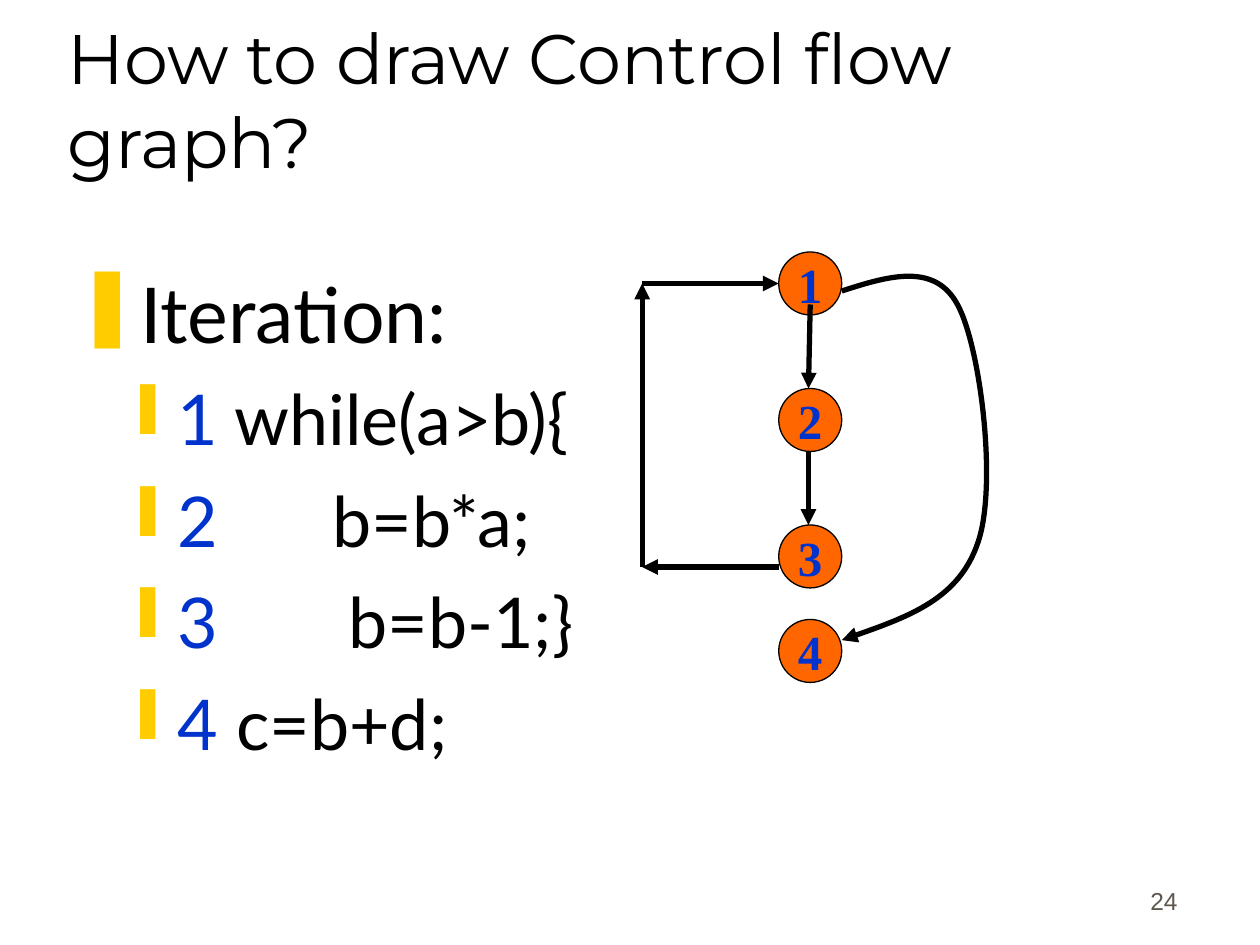
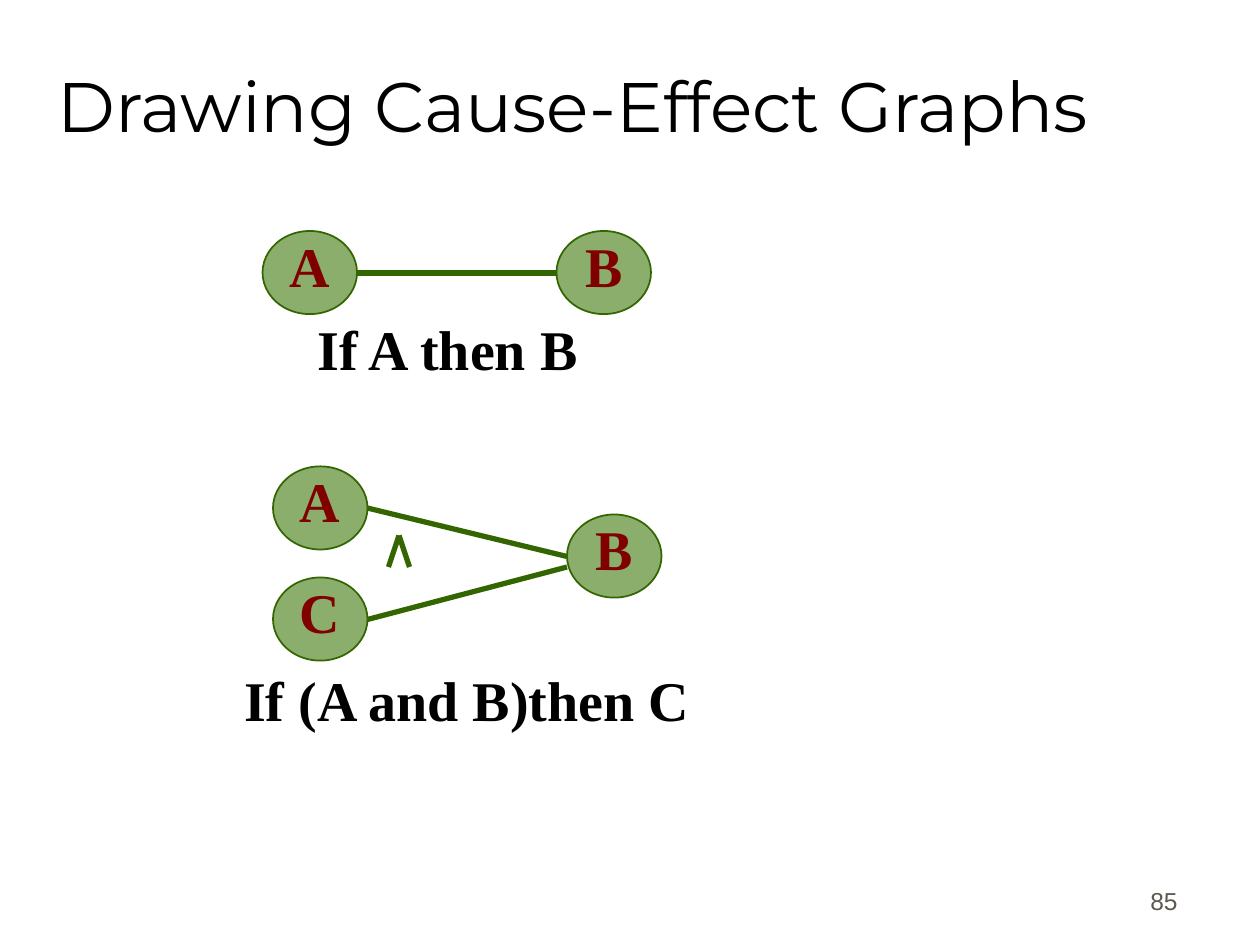
from dataclasses import dataclass

from lxml import etree
from pptx import Presentation
from pptx.dml.color import RGBColor
from pptx.enum.shapes import MSO_CONNECTOR, MSO_SHAPE
from pptx.enum.text import MSO_ANCHOR, PP_ALIGN
from pptx.oxml.ns import qn
from pptx.util import Pt

STRAIGHT, OVAL = MSO_CONNECTOR.STRAIGHT, MSO_SHAPE.OVAL
TOP, MIDDLE, BOTTOM = MSO_ANCHOR.TOP, MSO_ANCHOR.MIDDLE, MSO_ANCHOR.BOTTOM
LEFT, CENTER, RIGHT = PP_ALIGN.LEFT, PP_ALIGN.CENTER, PP_ALIGN.RIGHT


@dataclass(frozen=True)
class Theme:
    ink: str = "000000"
    page_number: str = "5E574E"
    bullet: str = "FFCC00"
    step: str = "0033CC"
    flow_fill: str = "FF6600"
    cause_fill: str = "8BAE6C"
    cause_line: str = "336600"
    cause_text: str = "800000"
    title_font: str = "Montserrat"
    body_font: str = "Lato"
    label_font: str = "Times New Roman"
    page_font: str = "Arial"
    title_size: float = 40
    heading_size: float = 44
    code_size: float = 40
    flow_size: float = 28
    cause_size: float = 32
    page_size: float = 14
    edge_width: float = 3


THEME = Theme()
WIDE_INSETS = (7.2, 3.6)
SLIM_INSETS = (1.44, 3.6)

# Flow graph: step number, statement, extra width of the gap between them
HEADING = "Iteration:"
CODE = [
    ("1", "while(a>b){", 0),
    ("2", "b=b*a;", 55),
    ("3", "b=b-1;}", 64.2),
    ("4", "c=b+d;", 0),
]
FLOW_SIZE = 36
FLOW_LEFT = 445
FLOW_TOPS = {"1": 144, "2": 222, "3": 300, "4": 354}
LOOP_LEFT, LOOP_TOP, LOOP_BOTTOM = 367, 162, 324
FLOW_EDGES = [
    ((463, 174), (462, 222)),
    ((462, 258), (462, 300)),
    ((FLOW_LEFT, LOOP_BOTTOM), (LOOP_LEFT, LOOP_BOTTOM)),
    ((LOOP_LEFT, LOOP_BOTTOM), (LOOP_LEFT, LOOP_TOP)),
    ((LOOP_LEFT, LOOP_TOP), (FLOW_LEFT, LOOP_TOP)),
]
EXIT_CURVE = [
    (481, 166.3),
    (507.6, 157.7), (534.2, 149.8), (547.2, 174.2),
    (560.2, 198), (570.2, 278), (558.7, 310.3),
    (548, 342), (514.8, 354.2), (481, 365.8),
]

# Cause-effect graphs
CAUSE_SIZE = (54, 47.5)
CAUSE_NODES = [
    ("A", 150, 132), ("B", 318, 132),
    ("A", 156, 266.5), ("B", 324, 294), ("C", 156, 330),
]
AND_TIP = (228, 306)
CAUSE_EDGES = [
    ((204, 156), (318, 156)),
    ((210, 290.3), (324, 318)),
    ((210, 354), (324, 324)),
    ((222, 324), AND_TIP),
    ((234, 324), AND_TIP),
]
CAPTIONS = [
    ("If A then B", (180, 186, 240, 45)),
    ("If (A and B)then C", (138, 386.5, 312, 45)),
]


def rgb(value):
    return RGBColor.from_string(value)


def add_run(paragraph, text, *, font, size, color, bold=False, spacing=0):
    run = paragraph.add_run()
    run.text = text
    run.font.name, run.font.size, run.font.bold = font, Pt(size), bold
    run.font.color.rgb = rgb(color)
    if spacing:
        run.font._element.set("spc", str(round(spacing * 100)))


def setup_frame(shape, anchor=TOP, insets=WIDE_INSETS, wrap=True):
    frame = shape.text_frame
    frame.word_wrap, frame.vertical_anchor = wrap, anchor
    frame.margin_left = frame.margin_right = Pt(insets[0])
    frame.margin_top = frame.margin_bottom = Pt(insets[1])
    return frame


def write(shape, text, *, align=LEFT, before=0, line_spacing=None,
          anchor=TOP, insets=WIDE_INSETS, wrap=True, **run_format):
    paragraph = setup_frame(shape, anchor, insets, wrap).paragraphs[0]
    paragraph.alignment, paragraph.space_before = align, Pt(before)
    if line_spacing:
        paragraph.line_spacing = line_spacing
    add_run(paragraph, text, **run_format)


def add_box(slide, box):
    return slide.shapes.add_textbox(*map(Pt, box))


def add_node(slide, box, fill, line, line_width):
    node = slide.shapes.add_shape(OVAL, *map(Pt, box))
    node.shadow.inherit = False
    node.fill.solid()
    node.fill.fore_color.rgb = rgb(fill)
    node.line.color.rgb, node.line.width = rgb(line), Pt(line_width)
    return node


def style_edge(edge, color, arrow):
    edge.line.color.rgb, edge.line.width = rgb(color), Pt(THEME.edge_width)
    if arrow:
        outline = edge._element.spPr.find(qn("a:ln"))
        etree.SubElement(outline, qn("a:tailEnd"), type="triangle")


def add_edge(slide, start, end, color, arrow=False):
    edge = slide.shapes.add_connector(STRAIGHT, *map(Pt, start + end))
    style_edge(edge, color, arrow)
    etree.SubElement(edge._element.spPr, qn("a:effectLst"))


def add_curve(slide, points, color):
    """Draw an arrow through Bezier points: a start, then three per segment."""
    start, *rest = [(Pt(x), Pt(y)) for x, y in points]
    builder = slide.shapes.build_freeform(*start)
    builder.add_line_segments(rest, close=False)
    curve = builder.convert_to_shape()
    curve.shadow.inherit = False
    curve.fill.background()
    style_edge(curve, color, arrow=True)
    straight = list(curve._element.iter(qn("a:lnTo")))
    for first in range(0, len(straight), 3):
        bezier = etree.Element(qn("a:cubicBezTo"))
        straight[first].addprevious(bezier)
        for segment in straight[first:first + 3]:
            bezier.append(segment[0])
            segment.getparent().remove(segment)


def add_bullet(paragraph, char, margin, hanging, before):
    paragraph.space_before = Pt(before)
    props = paragraph._p.get_or_add_pPr()
    props.set("marL", str(Pt(margin)))
    props.set("indent", str(-Pt(hanging)))
    color = etree.SubElement(props, qn("a:buClr"))
    etree.SubElement(color, qn("a:srgbClr"), val=THEME.bullet)
    etree.SubElement(props, qn("a:buChar"), char=char)


def add_slide(deck, title, number, title_top, **title_format):
    slide = deck.slides.add_slide(deck.slide_layouts[6])
    write(add_box(slide, (530, 490.5, 150, 36)), number, align=RIGHT,
          before=8.8, anchor=BOTTOM, font=THEME.page_font,
          size=THEME.page_size, color=THEME.page_number)
    write(add_box(slide, (31.5, title_top, 612, 90)), title,
          font=THEME.title_font, size=THEME.title_size, color=THEME.ink,
          **title_format)
    return slide


def add_code(slide):
    frame = setup_frame(add_box(slide, (36, 148.5, 643.5, 328.5)))
    heading = frame.paragraphs[0]
    add_bullet(heading, "❚", 27, 27, 11)
    add_run(heading, HEADING, font=THEME.body_font,
            size=THEME.heading_size, color=THEME.ink)
    code_format = dict(font=THEME.body_font, size=THEME.code_size)
    for step, statement, gap in CODE:
        line = frame.add_paragraph()
        line.level = 1
        add_bullet(line, "❙", 58.5, 22.5, 10)
        add_run(line, step, color=THEME.step, **code_format)
        add_run(line, " ", color=THEME.ink, spacing=gap, **code_format)
        add_run(line, statement, color=THEME.ink, **code_format)


def build_flow_slide(deck):
    slide = add_slide(deck, "How to draw Control flow graph?", "24", 18,
                      anchor=BOTTOM)
    add_code(slide)
    for step, top in FLOW_TOPS.items():
        node = add_node(slide, (FLOW_LEFT, top, FLOW_SIZE, FLOW_SIZE),
                        THEME.flow_fill, THEME.ink, 0.75)
        write(node, step, align=CENTER, anchor=MIDDLE, wrap=False, bold=True,
              font=THEME.label_font, size=THEME.flow_size, color=THEME.step)
    for start, end in FLOW_EDGES:
        add_edge(slide, start, end, THEME.ink, arrow=True)
    add_curve(slide, EXIT_CURVE, THEME.ink)


def build_cause_slide(deck):
    slide = add_slide(deck, "Drawing Cause-Effect Graphs", "85", 14.5,
                      anchor=MIDDLE, insets=SLIM_INSETS, before=5.2)
    label_format = dict(font=THEME.label_font, size=THEME.cause_size,
                        bold=True, line_spacing=0.72, insets=SLIM_INSETS)
    for name, left, top in CAUSE_NODES:
        node = add_node(slide, (left, top, *CAUSE_SIZE),
                        THEME.cause_fill, THEME.cause_line, 1)
        write(node, name, align=CENTER, anchor=MIDDLE, before=7.1,
              color=THEME.cause_text, **label_format)
    for start, end in CAUSE_EDGES:
        add_edge(slide, start, end, THEME.cause_line)
    for caption, box in CAPTIONS:
        write(add_box(slide, box), caption, before=18.3, color=THEME.ink,
              **label_format)


def main():
    deck = Presentation()
    deck.slide_width, deck.slide_height = Pt(720), Pt(540)
    build_flow_slide(deck)
    build_cause_slide(deck)
    deck.save("out.pptx")


if __name__ == "__main__":
    main()
